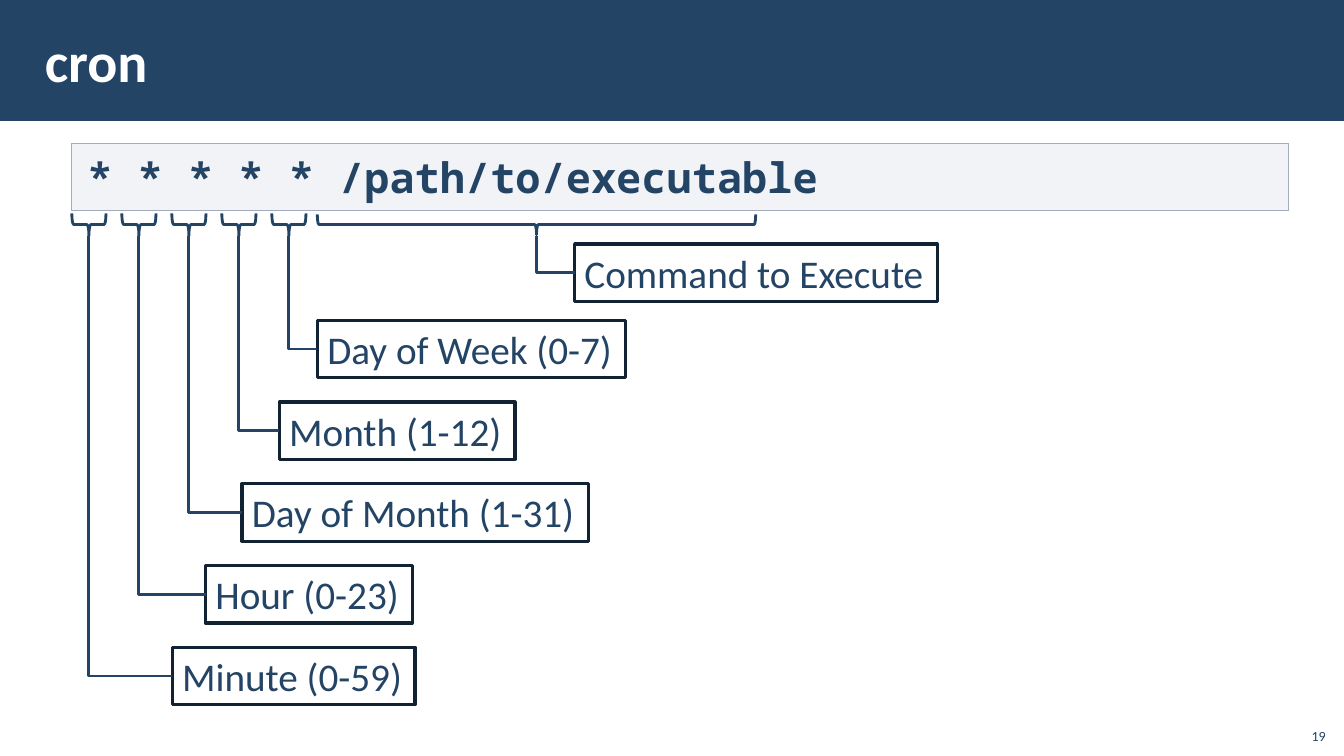
import pptx
import pptx.dml.color
import pptx.enum.shapes
import pptx.enum.text
import pptx.oxml
import pptx.oxml.ns
import pptx.util
from pptx.util import Cm

NAVY = "234465"
LABEL_BORDER = "112233"
WHITE = "FFFFFF"
BODY_FONT = "Calibri"
CODE_FONT = "Noto Sans Mono"

BRACE_MIDDLE = 5.66
BRACE_TIP = 5.94
FIRST_FIELD, FIELD_STEP = 2.24, 1.26
LOWEST_LABEL, LABEL_STEP = 16.31, 2.06
LABEL_HEIGHT = 1.45

# Text, left and width of each label, in the order of the cron fields (cm)
FIELDS = [
    ("Minute (0-59)", 4.34, 6.12),
    ("Hour (0-23)", 5.18, 5.21),
    ("Day of Month (1-31)", 6.1, 8.74),
    ("Month (1-12)", 7.04, 5.94),
    ("Day of Week (0-7)", 8.0, 7.77),
]


def rgb(color):
    return pptx.dml.color.RGBColor.from_string(color)


def add_run(paragraph, text, size, color, font=BODY_FONT, bold=False):
    run = paragraph.add_run()
    run.text = text
    run.font.name = font
    run.font.size = pptx.util.Pt(size)
    run.font.bold = bold
    run.font.color.rgb = rgb(color)


def set_insets(frame, horizontal, vertical):
    frame.margin_left = frame.margin_right = Cm(horizontal)
    frame.margin_top = frame.margin_bottom = Cm(vertical)


def add_shape(slide, kind, left, top, width, height, fill=None, line=None, weight=2):
    """Add a preset shape, measured in centimetres; no colour means none drawn."""
    shape = slide.shapes.add_shape(kind, Cm(left), Cm(top), Cm(width), Cm(height))
    shape.shadow.inherit = False
    if fill:
        shape.fill.solid()
        shape.fill.fore_color.rgb = rgb(fill)
    else:
        shape.fill.background()
    if line:
        shape.line.color.rgb = rgb(line)
        shape.line.width = pptx.util.Pt(weight)
    else:
        shape.line.fill.background()
    return shape


def add_box(slide, *place, **style):
    return add_shape(slide, pptx.enum.shapes.MSO_SHAPE.RECTANGLE, *place, **style)


def set_opacity(shape, percent):
    color = shape.fill._xPr.find(".//" + pptx.oxml.ns.qn("a:srgbClr"))
    alpha = pptx.oxml.parse_xml(f"<a:alpha {pptx.oxml.ns.nsdecls('a')}/>")
    alpha.set("val", str(percent * 1000))
    color.append(alpha)


def add_title(slide, text):
    band = add_box(slide, 0, 0, 33.87, 3.05, fill=NAVY)
    slide.shapes._spTree.insert(2, band._element)
    title = slide.shapes.title
    title.left, title.top, title.width, title.height = Cm(0.53), Cm(0.28), Cm(27), Cm(2.46)
    frame = title.text_frame
    set_insets(frame, 0.6, 0.1)
    frame.vertical_anchor = pptx.enum.text.MSO_ANCHOR.MIDDLE
    frame.paragraphs[0].alignment = pptx.enum.text.PP_ALIGN.LEFT
    add_run(frame.paragraphs[0], text, 40, WHITE, bold=True)


def add_code(slide, text):
    box = add_box(slide, 1.8, 3.61, 30.68, 1.7, fill="C2C7D2", line="A3ABBC", weight=1)
    set_opacity(box, 20)
    frame = box.text_frame
    set_insets(frame, 0.4, 0.2)
    frame.vertical_anchor = pptx.enum.text.MSO_ANCHOR.TOP
    frame.paragraphs[0].alignment = pptx.enum.text.PP_ALIGN.LEFT
    add_run(frame.paragraphs[0], text, 30, NAVY, CODE_FONT, bold=True)


def add_brace(slide, center, span, depth):
    """Add a brace that opens upwards and points down at its centre."""
    brace = add_shape(slide, pptx.enum.shapes.MSO_SHAPE.RIGHT_BRACE, center - depth / 2,
                      BRACE_MIDDLE - span / 2, depth, span, line=NAVY)
    brace.rotation = 90


def add_label(slide, text, left, top, width):
    box = add_box(slide, left, top, width, LABEL_HEIGHT, line=LABEL_BORDER, weight=2.25)
    frame = box.text_frame
    frame.word_wrap = False
    frame.vertical_anchor = pptx.enum.text.MSO_ANCHOR.TOP
    frame.paragraphs[0].alignment = pptx.enum.text.PP_ALIGN.LEFT
    add_run(frame.paragraphs[0], text, 28, NAVY)


def add_elbow(slide, start_x, start_y, end_x, end_y):
    """Add a line that runs down, then right: a flipped elbow turned by 270 degrees."""
    run, drop = end_x - start_x, end_y - start_y
    left = (start_x + end_x - drop) / 2
    top = (start_y + end_y - run) / 2
    elbow = slide.shapes.add_connector(pptx.enum.shapes.MSO_CONNECTOR.ELBOW, Cm(left + drop),
                                       Cm(top), Cm(left), Cm(top + run))
    elbow.line.color.rgb = rgb(NAVY)
    elbow.line.width = pptx.util.Pt(2)
    properties = elbow._element.spPr
    properties.find(pptx.oxml.ns.qn("a:xfrm")).set("rot", str(270 * 60000))
    properties.find(pptx.oxml.ns.qn("a:prstGeom")).set("prst", "bentConnector2")
    properties.append(pptx.oxml.parse_xml(f"<a:effectLst {pptx.oxml.ns.nsdecls('a')}/>"))


def add_callout(slide, center, span, depth, text, left, top, width):
    add_brace(slide, center, span, depth)
    add_label(slide, text, left, top, width)
    add_elbow(slide, center, BRACE_TIP, left, top + LABEL_HEIGHT / 2)


def add_slide_number(slide, number):
    box = slide.shapes.add_textbox(Cm(32.64), Cm(18.08), Cm(1.02), Cm(0.81))
    frame = box.text_frame
    frame.word_wrap = True
    frame.vertical_anchor = pptx.enum.text.MSO_ANCHOR.BOTTOM
    frame.paragraphs[0].alignment = pptx.enum.text.PP_ALIGN.RIGHT
    add_run(frame.paragraphs[0], number, 10, NAVY)


def main():
    presentation = pptx.Presentation()
    presentation.slide_width, presentation.slide_height = Cm(33.87), Cm(19.05)
    slide = presentation.slides.add_slide(presentation.slide_layouts[5])
    add_title(slide, "cron")
    add_code(slide, "* * * * * /path/to/executable")
    for index, (text, left, width) in enumerate(FIELDS):
        center = FIRST_FIELD + index * FIELD_STEP
        top = LOWEST_LABEL - index * LABEL_STEP
        add_callout(slide, center, 0.86, 0.56, text, left, top, width)
    add_callout(slide, 13.52, 11.05, 0.51, "Command to Execute", 14.48, 6.15, 9.14)
    add_slide_number(slide, "19")
    presentation.save("out.pptx")


if __name__ == "__main__":
    main()
